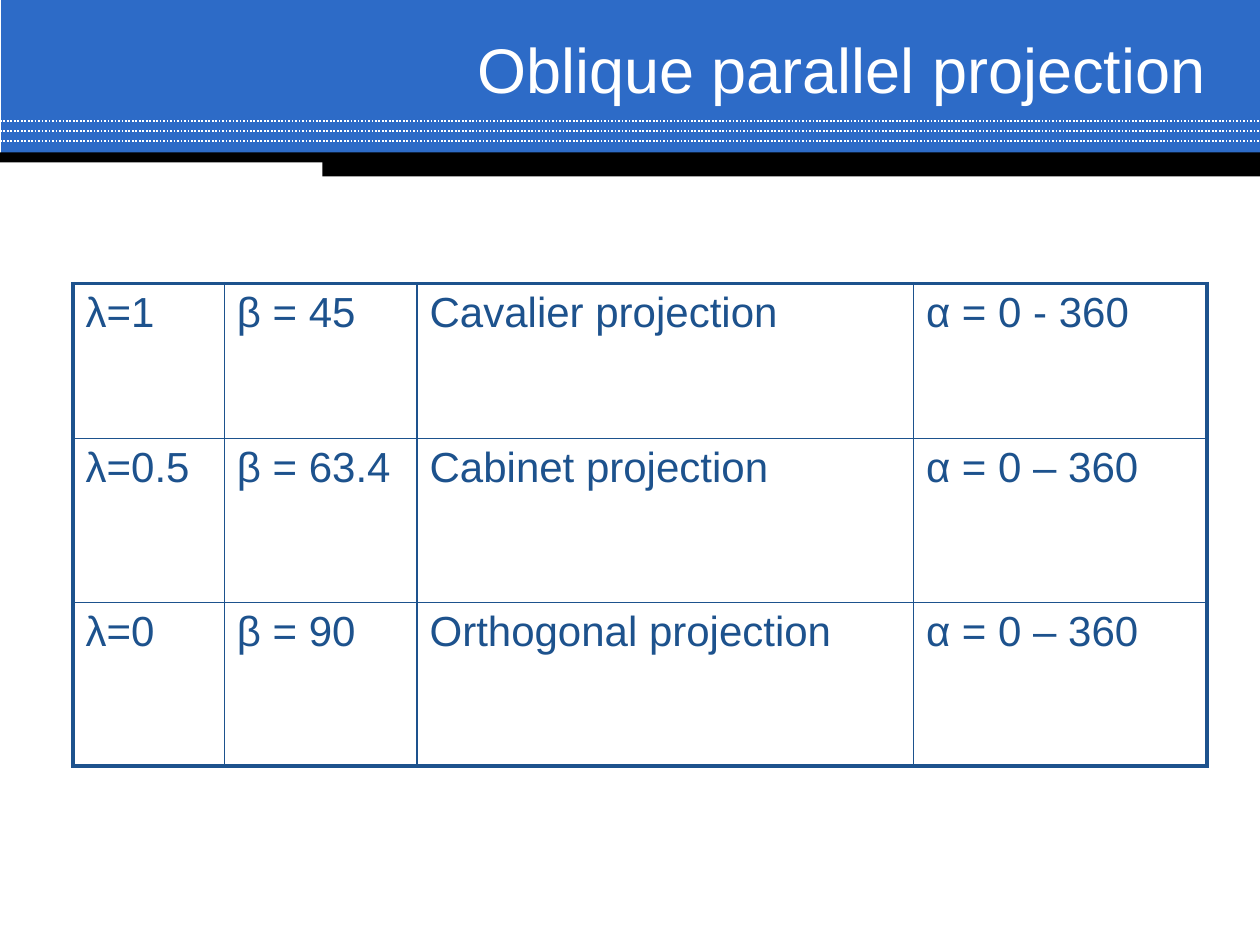
from lxml import etree
from pptx import Presentation
from pptx import util as u
from pptx.dml.color import RGBColor
from pptx.enum import dml, shapes, text
from pptx.oxml.ns import qn

COLS, ROWS = 100, 75
BLUE, NAVY, WHITE, BLACK = "2D6BC7", "1D528D", "FFFFFF", "000000"


def rgb(value):
    return RGBColor.from_string(value)


class Deck:
    font = "Arial"

    def __init__(self, width, height):
        self.prs = Presentation()
        self.prs.slide_width, self.prs.slide_height = u.Inches(width), u.Inches(height)
        self.s = self.prs.slides.add_slide(self.prs.slide_layouts[5])

    def x(self, cols):
        return round(self.prs.slide_width * cols / COLS)

    def y(self, rows):
        return round(self.prs.slide_height * rows / ROWS)

    def box(self, left, top, width, height):
        return self.x(left), self.y(top), self.x(width), self.y(height)

    def set_text(self, tf, words, size, color, align):
        tf.text = words
        p = tf.paragraphs[0]
        p.alignment = align
        p.font.name, p.font.size = self.font, u.Pt(size)
        p.font.color.rgb = rgb(color)

    def band(self, *box, color):
        sp = self.s.shapes.add_shape(shapes.MSO_SHAPE.RECTANGLE, *self.box(*box))
        sp.shadow.inherit = False
        sp.fill.solid()
        sp.fill.fore_color.rgb = rgb(color)
        sp.line.fill.background()

    def dotted(self, row, color):
        line = self.s.shapes.add_connector(
            shapes.MSO_CONNECTOR.STRAIGHT, 0, self.y(row), self.x(COLS), self.y(row))
        line.line.color.rgb = rgb(color)
        line.line.width = u.Pt(1)
        line.line.dash_style = dml.MSO_LINE.ROUND_DOT
        etree.SubElement(line._element.spPr, qn("a:effectLst"))

    def title(self, words, *box):
        sp = self.s.shapes.title
        self.s.shapes._spTree.append(sp._element)
        sp.left, sp.top, sp.width, sp.height = self.box(*box)
        tf = sp.text_frame
        tf.word_wrap, tf.auto_size = True, text.MSO_AUTO_SIZE.NONE
        tf.vertical_anchor = text.MSO_ANCHOR.MIDDLE
        self.set_text(tf, words, 36, WHITE, text.PP_ALIGN.RIGHT)

    def border(self, cell, index, side, width, color):
        ln = etree.Element(qn(f"a:ln{side}"), w=str(u.Pt(width)))
        fill = etree.SubElement(ln, qn("a:solidFill"))
        etree.SubElement(fill, qn("a:srgbClr"), val=color)
        cell._tc.get_or_add_tcPr().insert(index, ln)

    def table(self, left, top, widths, heights, rows, color):
        box = self.box(left, top, sum(widths), sum(heights))
        table = self.s.shapes.add_table(len(rows), len(widths), *box).table
        table.first_row = table.horz_banding = False
        for column, width in zip(table.columns, widths):
            column.width = self.x(width)
        for row, height in zip(table.rows, heights):
            row.height = self.y(height)
        last_row, last_col = len(rows) - 1, len(widths) - 1
        for i, row in enumerate(rows):
            for j, words in enumerate(row):
                cell = table.cell(i, j)
                cell.fill.background()
                self.set_text(cell.text_frame, words, 24, color, text.PP_ALIGN.LEFT)
                outer = {"L": j == 0, "R": j == last_col, "T": i == 0, "B": i == last_row}
                for index, (side, edge) in enumerate(outer.items()):
                    self.border(cell, index, side, 2.25 if edge else 1, color)


def main():
    deck = Deck(10, 7.5)
    deck.band(0.1, 0, 99.9, 12.3, color=BLUE)
    for i in range(3):
        deck.dotted(9.6 + 0.8 * i, WHITE)
    deck.band(0, 12.1, 100, 0.8, color=BLACK)
    deck.band(25.6, 12.4, 74.4, 1.6, color=BLACK)
    deck.title("Oblique parallel projection", 27.5, 2.5, 69.2, 5.8)
    deck.table(5.8, 22.5, [12, 15.3, 39.4, 23.3], [12.3, 13, 13], [
        ["λ=1", "β = 45", "Cavalier projection", "α = 0 - 360"],
        ["λ=0.5", "β = 63.4", "Cabinet projection", "α = 0 – 360"],
        ["λ=0", "β = 90", "Orthogonal projection", "α = 0 – 360"],
    ], NAVY)
    deck.prs.save("out.pptx")


if __name__ == "__main__":
    main()
